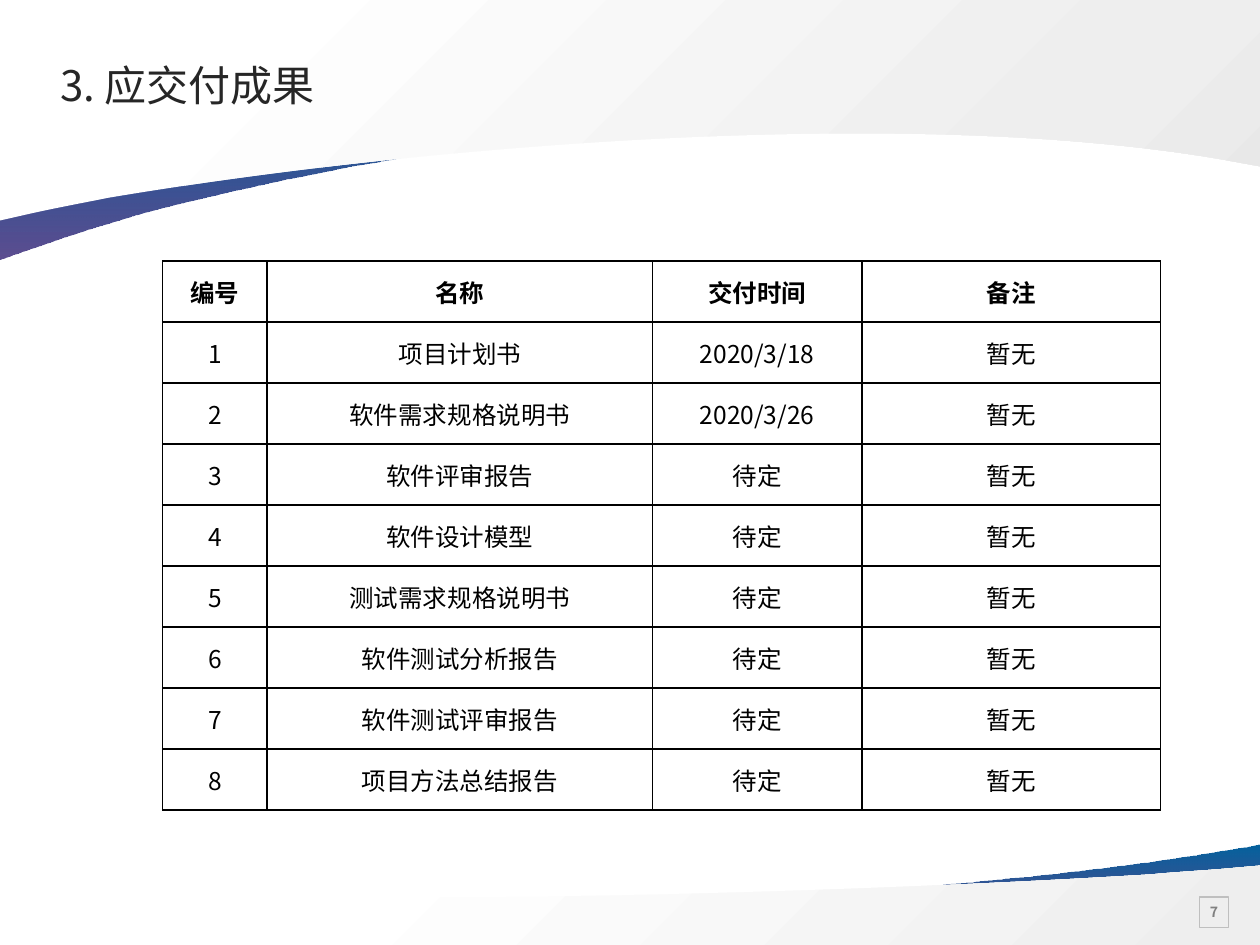
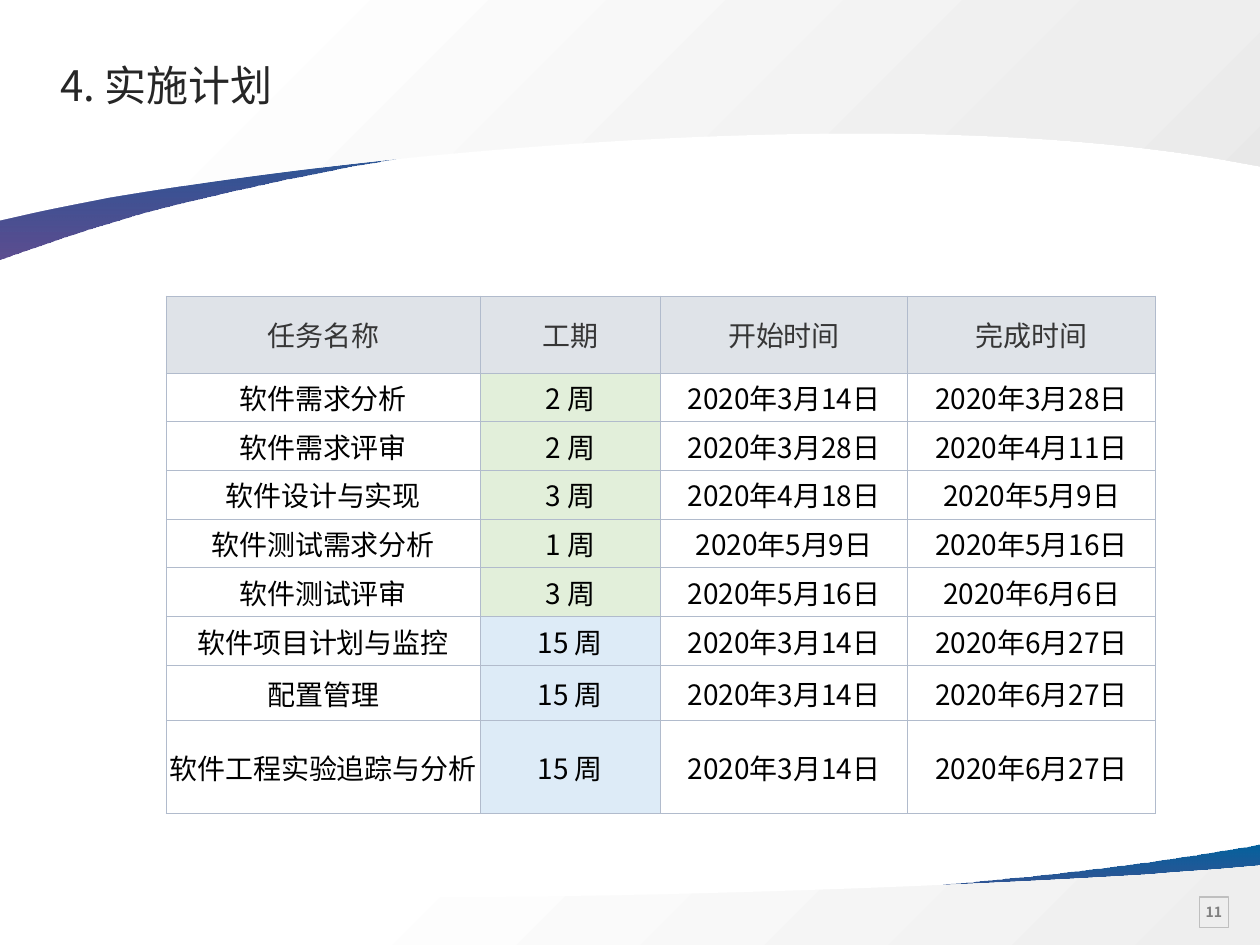
import pptx
import pptx.dml.color
import pptx.enum.shapes
import pptx.enum.text
import pptx.oxml
import pptx.oxml.ns
import pptx.util
from lxml import etree

Inches, Pt = pptx.util.Inches, pptx.util.Pt
ALIGN = pptx.enum.text.PP_ALIGN
qn = pptx.oxml.ns.qn

FONT = "Noto Sans CJK SC"
COLORS = {
    "title": "262626", "text": "000000", "header_text": "363636",
    "page_text": "808080", "page_frame": "BFBFBF",
    "blue": "04619D", "violet": "342275",
    "white": "FFFFFF", "light": "EEEEEE", "grey": "E8E8E8",
    "plan_border": "B1BBCC", "plan_header": "DFE3E8",
    "phase": "E2EFDA", "ongoing": "DDEBF7",
}
ACCENT_STOPS = [(0, "blue", 100), (100, "violet", 80)]
FOOTER_STOPS = [(26, "white", 100), (100, "light", 100)]
HEADER_STOPS = [(17, "white", 100), (81, "light", 100), (100, "grey", 100)]

# Outlines: a pair is a line to a point, six numbers are a Bézier curve.
FOOTER_ACCENT = [
    (10, 0), (10, 0.65), (0, 0.65), (0, 0.38), (0.01, 0.38),
    (2.26, 0.71, 6.15, 0.47, 8.39, 0.23), (8.84, 0.18, 9.35, 0.11, 9.89, 0.02)]
FOOTER_SWEEP = [
    (10, 0.17), (10, 0.8), (0, 0.8), (0, 0.33), (0.33, 0.35),
    (2.94, 0.51, 6.83, 0.38, 9.14, 0.24), (9.34, 0.22, 9.56, 0.21, 9.78, 0.19)]
HEADER_ACCENT = [
    (0, 2.06), (0, 0.66), (10, 0.66), (10, 1.24), (9.99, 1.23),
    (7.74, 0.53, 3.85, 1.03, 1.61, 1.57), (1.16, 1.67, 0.65, 1.83, 0.11, 2.02)]
HEADER_SWEEP = [
    (0, 1.75), (0, 0), (10, 0), (10, 1.32), (9.67, 1.26),
    (7.06, 0.82, 3.17, 1.18, 0.86, 1.57), (0.66, 1.61, 0.44, 1.65, 0.22, 1.7)]

PENDING, NO_REMARK = "待定", "暂无"
DELIVERABLES = [
    ("项目计划书", "2020/3/18"), ("软件需求规格说明书", "2020/3/26"),
    ("软件评审报告", PENDING), ("软件设计模型", PENDING),
    ("测试需求规格说明书", PENDING), ("软件测试分析报告", PENDING),
    ("软件测试评审报告", PENDING), ("项目方法总结报告", PENDING)]
TASKS = [
    ("软件需求分析", 2, (3, 14), (3, 28)),
    ("软件需求评审", 2, (3, 28), (4, 11)),
    ("软件设计与实现", 3, (4, 18), (5, 9)),
    ("软件测试需求分析", 1, (5, 9), (5, 16)),
    ("软件测试评审", 3, (5, 16), (6, 6)),
    ("软件项目计划与监控", 15, (3, 14), (6, 27)),
    ("配置管理", 15, (3, 14), (6, 27)),
    ("软件工程实验追踪与分析", 15, (3, 14), (6, 27))]


def rgb(color):
    """Return the named colour."""
    return pptx.dml.color.RGBColor.from_string(COLORS[color])


def write(paragraph, text, size, color, bold=False, align=ALIGN.CENTER):
    """Add one formatted run to a paragraph."""
    paragraph.alignment = align
    run = paragraph.add_run()
    run.text = text
    run.font.size, run.font.bold, run.font.name = Pt(size), bold, FONT
    run.font.color.rgb = rgb(color)
    east_asian = etree.SubElement(run.font._element, qn("a:ea"))
    east_asian.set("typeface", FONT)


def set_insets(box, left, top, right, bottom):
    """Set the inner margins of a text frame or cell in inches."""
    box.margin_left, box.margin_top = Inches(left), Inches(top)
    box.margin_right, box.margin_bottom = Inches(right), Inches(bottom)


def bend(shape, top, outline):
    """Turn the straight sides that stand for curves into Bézier curves."""
    sides = list(shape.element.spPr.iter(qn("a:lnTo")))
    for side, part in zip(sides, outline[1:]):
        if len(part) == 2:
            continue
        curve = etree.Element(qn("a:cubicBezTo"))
        for x, y in zip(part[::2], part[1::2]):
            etree.SubElement(curve, qn("a:pt"), x=str(Inches(x) - shape.left),
                             y=str(Inches(top + y) - shape.top))
        side.getparent().replace(side, curve)


def set_gradient(shape, stops, angle):
    """Fill a shape with a linear gradient of (position, colour, opacity) stops."""
    shape.fill.background()
    gradient = etree.Element(qn("a:gradFill"), rotWithShape="1")
    stop_list = etree.SubElement(gradient, qn("a:gsLst"))
    for position, color, opacity in stops:
        stop = etree.SubElement(stop_list, qn("a:gs"), pos=str(position * 1000))
        tint = etree.SubElement(stop, qn("a:srgbClr"), val=COLORS[color])
        if opacity < 100:
            etree.SubElement(tint, qn("a:alpha"), val=str(opacity * 1000))
    etree.SubElement(gradient, qn("a:lin"), ang=str(angle * 60000), scaled="0")
    properties = shape.element.spPr
    properties.replace(properties.find(qn("a:noFill")), gradient)


def add_sweep(slide, top, outline, stops, angle):
    """Draw a curved band below the given top and move it to the layout."""
    ends = [(Inches(part[-2]), Inches(top + part[-1])) for part in outline]
    builder = slide.shapes.build_freeform(*ends[0])
    builder.add_line_segments(ends[1:], close=True)
    sweep = builder.convert_to_shape()
    bend(sweep, top, outline)
    sweep.shadow.inherit = False
    sweep.line.fill.background()
    set_gradient(sweep, stops, angle)
    slide.slide_layout.shapes.element.append(sweep.element)


def add_bands(slide):
    """Give the slide's layout its footer and header bands."""
    add_sweep(slide, 6.7, FOOTER_ACCENT, ACCENT_STOPS, 90)
    add_sweep(slide, 6.7, FOOTER_SWEEP, FOOTER_STOPS, 45)
    add_sweep(slide, 0, HEADER_ACCENT, ACCENT_STOPS, 90)
    add_sweep(slide, 0, HEADER_SWEEP, HEADER_STOPS, 45)


def add_title(slide, text, left, top, width, height):
    """Place and fill the title placeholder."""
    title = slide.shapes.title
    title.left, title.top = Inches(left), Inches(top)
    title.width, title.height = Inches(width), Inches(height)
    frame = title.text_frame
    frame.auto_size = pptx.enum.text.MSO_AUTO_SIZE.NONE
    frame.word_wrap = False
    frame.vertical_anchor = pptx.enum.text.MSO_ANCHOR.MIDDLE
    set_insets(frame, 0.08, 0.08, 0, 0.08)
    frame.paragraphs[0].line_spacing = 0.9
    write(frame.paragraphs[0], text, 24, "title", align=ALIGN.LEFT)


def add_page_number(slide, number, left, top, width, height):
    """Draw the framed page number behind the title."""
    badge = slide.shapes.add_shape(
        pptx.enum.shapes.MSO_SHAPE.RECTANGLE,
        Inches(left), Inches(top), Inches(width), Inches(height))
    badge.shadow.inherit = False
    badge.fill.background()
    badge.line.color.rgb, badge.line.width = rgb("page_frame"), Pt(0.75)
    frame = badge.text_frame
    frame.word_wrap = False
    frame.vertical_anchor = pptx.enum.text.MSO_ANCHOR.MIDDLE
    set_insets(frame, 0.08, 0.08, 0.08, 0.08)
    write(frame.paragraphs[0], str(number), 8, "page_text", bold=True)
    slide.shapes.title.element.addprevious(badge.element)


def set_borders(cell, color, width):
    """Draw all four borders of a cell."""
    properties = cell._tc.get_or_add_tcPr()
    for index, side in enumerate("LRTB"):
        border = etree.Element(qn(f"a:ln{side}"), w=str(Pt(width)))
        fill = etree.SubElement(border, qn("a:solidFill"))
        etree.SubElement(fill, qn("a:srgbClr"), val=COLORS[color])
        properties.insert(index, border)


def add_grid(slide, box, rows, column_widths, row_heights, insets, border, style):
    """Add a table; style(row, column) gives size, colour, bold and fill."""
    grid = slide.shapes.add_table(
        len(rows), len(column_widths), *(Inches(length) for length in box)).table
    grid.first_row = grid.horz_banding = False
    for column, width in zip(grid.columns, column_widths):
        column.width = Inches(width)
    for row, height in zip(grid.rows, row_heights):
        row.height = Inches(height)
    for r, texts in enumerate(rows):
        for c, text in enumerate(texts):
            size, color, bold, fill = style(r, c)
            cell = grid.cell(r, c)
            cell.vertical_anchor = pptx.enum.text.MSO_ANCHOR.MIDDLE
            set_insets(cell, *insets)
            write(cell.text_frame.paragraphs[0], text, size, color, bold)
            if fill:
                cell.fill.solid()
                cell.fill.fore_color.rgb = rgb(fill)
            else:
                cell.fill.background()
            set_borders(cell, *border)


def add_deliverables(slide, left, top, width, height):
    """Add the table of deliverables."""
    rows = [("编号", "名称", "交付时间", "备注")]
    rows += [(str(number), name, due, NO_REMARK)
             for number, (name, due) in enumerate(DELIVERABLES, 1)]
    columns = [0.83, 3.06, 1.66]
    columns.append(width - sum(columns))
    add_grid(slide, (left, top, width, height), rows, columns,
             [height / len(rows)] * len(rows), (0.07, 0, 0.07, 0), ("text", 1),
             lambda r, c: (14, "text", r == 0, None))


def plan_style(row, column):
    """Return the style of a cell in the plan."""
    if row == 0:
        return 16, "header_text", False, "plan_header"
    if column != 1:
        return 16, "text", False, "white"
    return 16, "text", False, "ongoing" if TASKS[row - 1][1] == 15 else "phase"


def add_plan(slide, left, top, width, height):
    """Add the table of tasks with their durations and dates."""
    rows = [("任务名称", "工期", "开始时间", "完成时间")]
    rows += [(name, f"{weeks} 周", *(f"2020年{month}月{day}日" for month, day in dates))
             for name, weeks, *dates in TASKS]
    header, last_two = 0.61, [0.44, 0.74]
    regular = len(rows) - 3
    shared = (height - header - sum(last_two)) / regular
    name_width, weeks_width = 2.49, 1.43
    date_width = (width - name_width - weeks_width) / 2
    add_grid(slide, (left, top, width, height), rows,
             [name_width, weeks_width, date_width, date_width],
             [header] + [shared] * regular + last_two,
             (0.01,) * 4, ("plan_border", 0.5), plan_style)


def add_slide(deck, title, number):
    """Add a slide with its title and page number."""
    slide = deck.slides.add_slide(deck.slide_layouts[5])
    add_page_number(slide, number, 9.52, 7.12, 0.23, 0.24)
    add_title(slide, title, 0.4, 0.41, 9, 0.58)
    return slide


def main():
    """Build and save the deck."""
    deck = pptx.Presentation()
    deck.slide_width, deck.slide_height = Inches(10), Inches(7.5)
    deliverables = add_slide(deck, "3. 应交付成果", 7)
    add_bands(deliverables)
    add_deliverables(deliverables, 1.29, 2.07, 7.92, 4.36)
    plan = add_slide(deck, "4. 实施计划", 11)
    add_plan(plan, 1.32, 2.35, 7.85, 4.11)
    deck.save("out.pptx")


if __name__ == "__main__":
    main()
